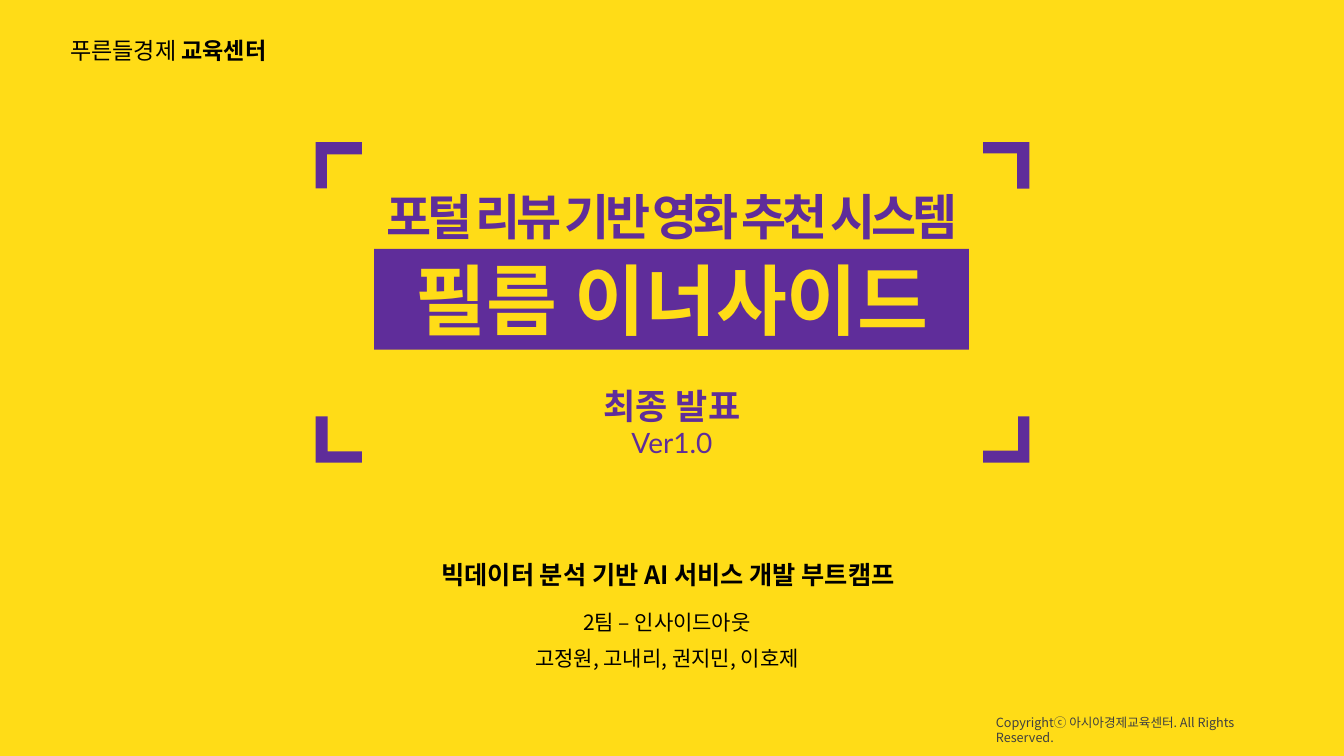
from lxml import etree
from pptx import Presentation
from pptx.dml.color import RGBColor
from pptx.enum.shapes import MSO_SHAPE
from pptx.enum.text import MSO_ANCHOR, MSO_AUTO_SIZE, PP_ALIGN
from pptx.oxml.ns import qn
from pptx.util import Inches, Pt

RECTANGLE, CORNER = MSO_SHAPE.RECTANGLE, MSO_SHAPE.CORNER
TOP = MSO_ANCHOR.TOP
GROW = MSO_AUTO_SIZE.SHAPE_TO_FIT_TEXT
LEFT, CENTER = PP_ALIGN.LEFT, PP_ALIGN.CENTER
YELLOW, PURPLE, BLACK, GRAY = "FFDC17", "5F2D9A", "000000", "404040"
KOREAN, LATIN = "Noto Sans CJK KR", "Lato"


def color(value):
    return RGBColor.from_string(value)


def place(item, left, top, width, height):
    item.left, item.top = Inches(left), Inches(top)
    item.width, item.height = Inches(width), Inches(height)


def add_span(para, text, size, fill, bold=False, face=KOREAN, spacing=0):
    span = para.add_run()
    span.text = text
    span.font.size = Pt(size)
    span.font.bold = bold
    span.font.color.rgb = color(fill)
    span.font.name = face
    properties = span.font._element
    east_asian = etree.Element(qn("a:ea"), typeface=face)
    properties.find(qn("a:latin")).addnext(east_asian)
    if spacing:
        properties.set("spc", str(spacing * 100))


def write(page, text, box, size=15, fill=BLACK, bold=False, face=KOREAN,
          spacing=0, align=CENTER, line_spacing=1.0, holder=None):
    holder = holder or page.shapes.add_textbox(0, 0, 0, 0)
    place(holder, *box)
    frame = holder.text_frame
    frame.word_wrap = True
    frame.auto_size = GROW
    frame.vertical_anchor = TOP
    para = frame.paragraphs[0]
    para.alignment = align
    para.line_spacing = line_spacing
    para.space_before = Pt(0)
    add_span(para, text, size, fill, bold, face, spacing)
    return para


def add_block(page, preset, box, rotation=0):
    block = page.shapes.add_shape(preset, *[Inches(value) for value in box])
    block.shadow.inherit = False
    block.fill.solid()
    block.fill.fore_color.rgb = color(PURPLE)
    block.line.fill.background()
    block.rotation = rotation
    return block


def add_header(page, left, top):
    para = write(page, "푸른들경제", (left, top, 2.28, 0.39), size=16.5, align=LEFT)
    add_span(para, " 교육센터", 16.5, BLACK, bold=True)


def add_frame(page, left, top, width, height, side=0.46):
    right, bottom = left + width - side, top + height - side
    corners = [(left, top, 90), (right, top, 180),
               (right, bottom, 270), (left, bottom, 0)]
    for x, y, rotation in corners:
        bracket = add_block(page, CORNER, (x, y, side, side), rotation)
        bracket.adjustments[0] = 0.24
        bracket.adjustments[1] = 0.263


def add_title(page, left, top, width):
    band = add_block(page, RECTANGLE, (left + 0.38, top + 0.67, 5.9, 1))
    title = page.shapes.title
    band._element.addnext(title._element)
    write(page, "포털 리뷰 기반 영화 추천 시스템", (left, top, width, 0.69),
          size=35, fill=PURPLE, bold=True, spacing=-3)
    write(page, "필름 이너사이드", (left, top + 0.66, width, 1.03),
          size=55, fill=YELLOW, bold=True, holder=title)
    write(page, "최종 발표", (left, top + 1.97, width, 0.52),
          size=25, fill=PURPLE, bold=True)
    write(page, "Ver1.0", (left, top + 2.37, width, 0.44),
          size=20, fill=PURPLE, face=LATIN)


def add_team(page, left, top, width):
    write(page, "빅데이터 분석 기반 AI 서비스 개발 부트캠프",
          (left + 0.11, top, width - 0.2, 0.4), size=18, bold=True)
    lines = ["2팀 – 인사이드아웃", "고정원, 고내리, 권지민, 이호제"]
    for index, text in enumerate(lines):
        write(page, text, (left, top + 0.37 + 0.36 * index, width, 0.41),
              line_spacing=1.5)


def add_footer(page, left, top):
    write(page, "Copyrightⓒ 아시아경제교육센터. All Rights Reserved.",
          (left, top, 3.06, 0.25), size=9, fill=GRAY, align=LEFT)


def main():
    deck = Presentation()
    deck.slide_width, deck.slide_height = Inches(13.33), Inches(7.5)
    page = deck.slides.add_slide(deck.slide_layouts[5])
    page.background.fill.solid()
    page.background.fill.fore_color.rgb = color(YELLOW)
    add_frame(page, 3.13, 1.41, 7.08, 3.18)
    add_title(page, 3.33, 1.8, 6.67)
    add_header(page, 0.6, 0.31)
    add_team(page, 3.18, 5.5, 6.87)
    add_footer(page, 9.78, 7.04)
    deck.save("out.pptx")


if __name__ == "__main__":
    main()
